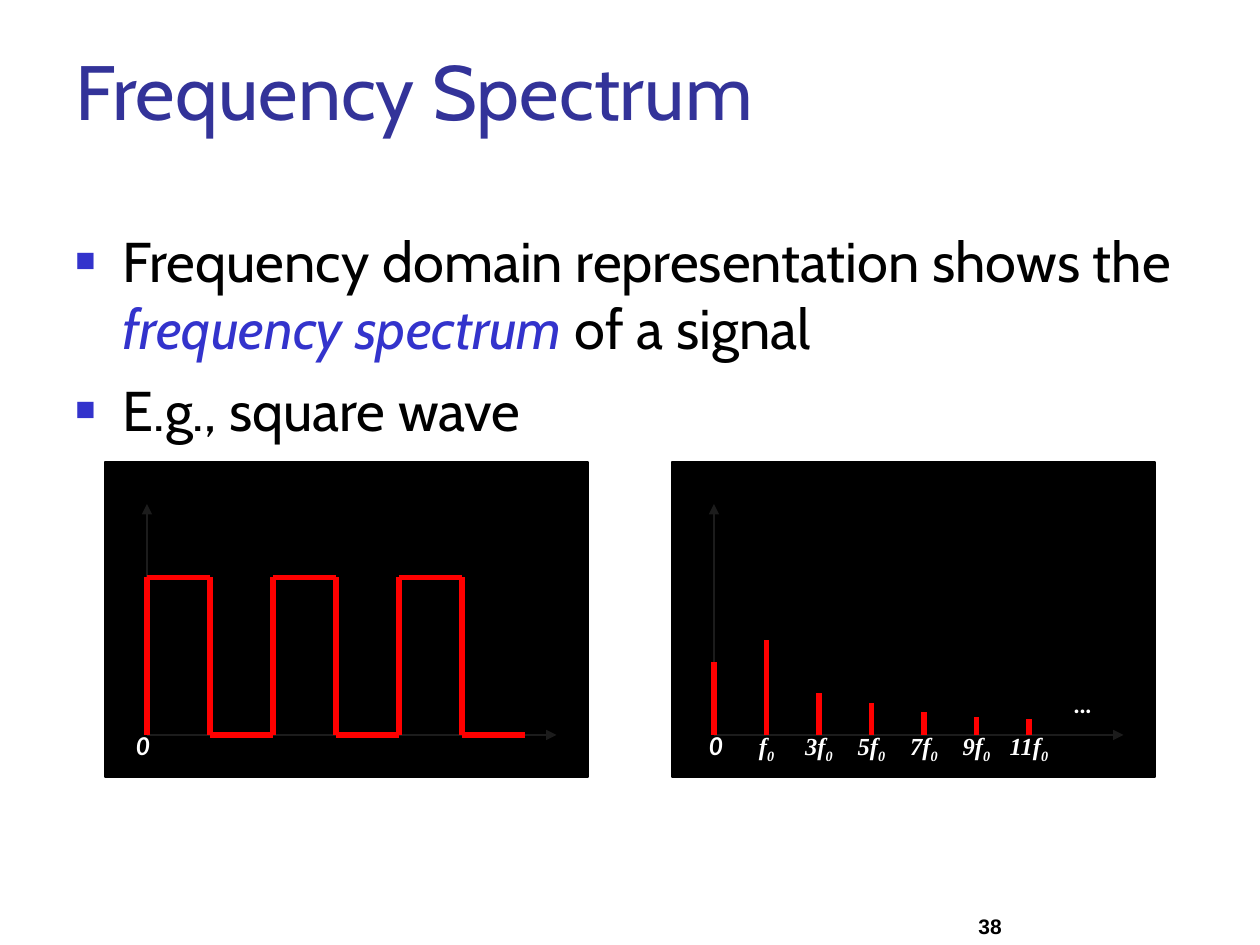
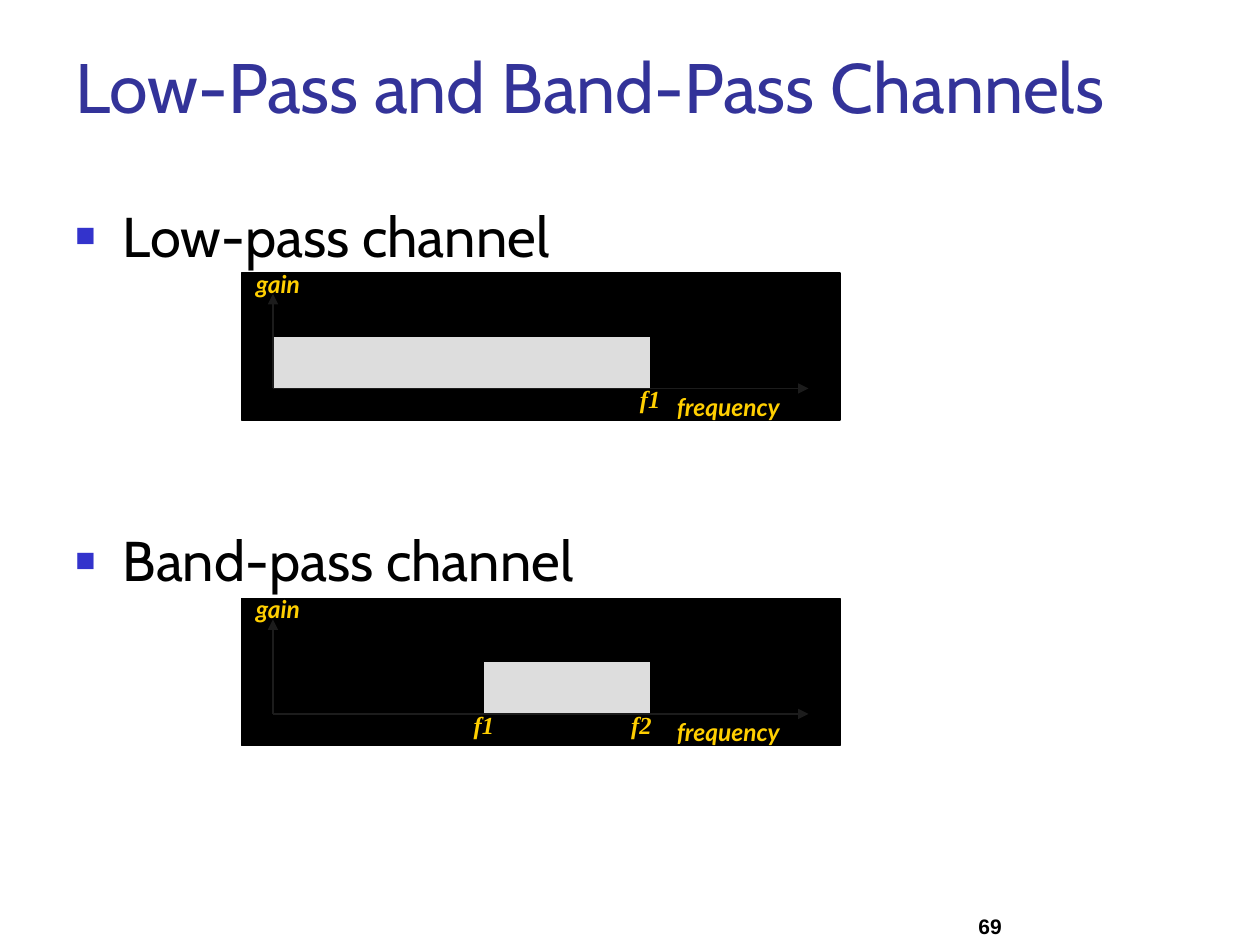
import lxml.etree
import pptx
import pptx.dml.color
import pptx.enum.shapes
import pptx.enum.text
import pptx.oxml.ns
import pptx.util

Pt = pptx.util.Pt
qn = pptx.oxml.ns.qn
ALIGN = pptx.enum.text.PP_ALIGN
ANCHOR = pptx.enum.text.MSO_ANCHOR


class Theme:
    # Colours
    title, accent, ink = "333399", "3333CC", "000000"
    panel, axis, wave = "000000", "1C1C1C", "FF0000"
    band, light, gold = "DDDDDD", "FFFFFF", "FFCF01"
    # Fonts
    main, label, math, page = "Cabin", "Lato", "Times New Roman", "Arial"
    # Type sizes and line widths
    head, body, small, foot = 44, 32, 14, 12
    thin, thick = 0.75, 3


def rgb(code):
    return pptx.dml.color.RGBColor.from_string(code)


def add_mark(para, indent=27):
    """Give a paragraph a hanging square bullet."""
    props = para._p.get_or_add_pPr()
    props.set("marL", str(Pt(indent)))
    props.set("indent", str(-Pt(indent)))
    tint = lxml.etree.SubElement(props, qn("a:buClr"))
    lxml.etree.SubElement(tint, qn("a:srgbClr"), val=Theme.accent)
    lxml.etree.SubElement(props, qn("a:buSzPct"), val="60000")
    lxml.etree.SubElement(props, qn("a:buFont"), typeface="Arial")
    lxml.etree.SubElement(props, qn("a:buChar"), char="■")


def add_text(shapes, box, paras, size, font, color, bold=False, slant=False,
             align=ALIGN.LEFT, anchor=ANCHOR.TOP, wrap=True, marks=False, gap=0):
    """Each paragraph is a list of (text, changes) runs."""
    frame = shapes.add_textbox(*map(Pt, box)).text_frame
    frame.word_wrap = wrap
    frame.vertical_anchor = anchor
    for spot, runs in enumerate(paras):
        para = frame.add_paragraph() if spot else frame.paragraphs[0]
        para.alignment = align
        if marks:
            add_mark(para)
        if spot:
            para.space_before = Pt(gap)
        for words, change in runs:
            run = para.add_run()
            run.text = words
            run.font.size, run.font.name = Pt(size), font
            run.font.bold = bold
            run.font.italic = change.get("slant", slant)
            run.font.color.rgb = rgb(change.get("color", color))
            if "base" in change:
                run.font._element.set("baseline", str(change["base"]))


def add_label(shapes, mid, top, width, words, color, font=Theme.label, sub=""):
    """Small bold italic label centred on mid."""
    runs = [(words, {})]
    if sub:
        runs.append((sub, {"base": -25000}))
    add_text(shapes, (mid - width / 2, top, width, 24.5), [runs], Theme.small,
             font, color, bold=True, slant=True, align=ALIGN.CENTER, wrap=False)


def add_rect(shapes, box, fill):
    rect = shapes.add_shape(pptx.enum.shapes.MSO_SHAPE.RECTANGLE, *map(Pt, box))
    rect.shadow.inherit = False
    rect.fill.solid()
    rect.fill.fore_color.rgb = rgb(fill)
    rect.line.color.rgb = rgb(Theme.panel)
    rect.line.width = Pt(Theme.thin)


def add_line(shapes, start, end, color, width, arrow=False):
    kind = pptx.enum.shapes.MSO_CONNECTOR.STRAIGHT
    line = shapes.add_connector(kind, *map(Pt, start + end))
    line.line.color.rgb = rgb(color)
    line.line.width = Pt(width)
    props = line._element.spPr
    if arrow:
        lxml.etree.SubElement(props.find(qn("a:ln")), qn("a:tailEnd"), type="triangle")
    lxml.etree.SubElement(props, qn("a:effectLst"))


def add_axes(shapes, zero, top, right):
    """Upward and rightward arrows from the zero point."""
    for end in ((zero[0], top), (right, zero[1])):
        add_line(shapes, zero, end, Theme.axis, Theme.thin, arrow=True)


def add_graph(slide, box):
    """Black panel with axes; returns its shapes and zero point."""
    shapes = slide.shapes.add_group_shape().shapes
    left, top, width, height = box
    zero = (left + 24, top + height - 24)
    add_rect(shapes, box, Theme.panel)
    add_axes(shapes, zero, top + 24, left + width - 18)
    return shapes, zero


def add_wave(slide, box, cycles=3, step=36, rise=90):
    shapes, (left, base) = add_graph(slide, box)
    high = base - rise
    # Each half cycle is a vertical edge and a level run
    for half in range(2 * cycles):
        x = left + half * step
        level = base if half % 2 else high
        for start, end in (((x, base), (x, high)), ((x, level), (x + step, level))):
            add_line(shapes, start, end, Theme.wave, Theme.thick)
    add_label(shapes, left - 2.3, base - 6, 22.5, "0", Theme.light)


def add_bars(slide, box, step=30):
    shapes, (left, base) = add_graph(slide, box)
    bars = (("", 42), ("f", 54), ("3f", 24), ("5f", 18), ("7f", 13.2), ("9f", 10.2), ("11f", 9))
    for spot, (name, rise) in enumerate(bars):
        x = left + spot * step
        add_line(shapes, (x, base), (x, base - rise), Theme.wave, Theme.thick)
        if name:
            add_label(shapes, x, base - 6, 16 + 7 * len(name), name, Theme.light,
                      Theme.math, sub="0")
    add_label(shapes, left + 1.2, base - 6, 22.5, "0", Theme.light)
    add_label(shapes, left + 7 * step + 1, base - 30, 26, "...", Theme.light)


def add_gain(slide, box, start, end, marks):
    """Gain panel: the pass band runs from start to end along the axis."""
    shapes = slide.shapes.add_group_shape().shapes
    left, top, width, height = box
    x, base = left + 18, top + height - 18
    add_rect(shapes, box, Theme.panel)
    add_rect(shapes, (x + start, base - 30, end - start, 30), Theme.band)
    add_axes(shapes, (x, base), top + 12, left + width - 18)
    add_label(shapes, x + 260.2, base - 1.7, 80.6, "frequency", Theme.gold)
    for name, spot in marks:
        add_label(shapes, x + spot, base - 6, 26, name, Theme.gold, Theme.math)
    add_label(shapes, x + 2.8, top - 6, 44, "gain", Theme.gold)


def add_frame(deck, title, number, size=Theme.head):
    """Blank slide with its title and page number."""
    slide = deck.slides.add_slide(deck.slide_layouts[6])
    add_text(slide.shapes, (552, 502.5, 168, 37.5), [[(number, {})]], Theme.foot,
             Theme.page, Theme.ink, bold=True, anchor=ANCHOR.BOTTOM)
    add_text(slide.shapes, (36, 21.6, 648, 90), [[(title, {})]], size,
             Theme.main, Theme.title)
    return slide


def add_list(slide, top, paras, gap=8):
    add_text(slide.shapes, (36, top, 648, 482.4 - top), paras, Theme.body,
             Theme.main, Theme.ink, marks=True, gap=gap)


def main():
    deck = pptx.Presentation()
    deck.slide_width, deck.slide_height = Pt(720), Pt(540)

    # Frequency spectrum
    slide = add_frame(deck, "Frequency Spectrum", "38")
    add_list(slide, 126, [
        [("Frequency domain representation shows the ", {}),
         ("frequency spectrum", {"color": Theme.accent, "slant": True}),
         (" of a signal", {})],
        [("E.g., square wave", {})],
    ])
    add_wave(slide, (60, 264, 276, 180))
    add_bars(slide, (384, 264, 276, 180))

    # Low-pass and band-pass channels
    slide = add_frame(deck, "Low-Pass and Band-Pass Channels", "69", size=40)
    add_list(slide, 111.6, [[("Low-pass channel", {})], [("Band-pass channel", {})]], gap=147)
    add_gain(slide, (138, 156, 342, 84), 0, 216, [("f1", 215.5)])
    add_gain(slide, (138, 342, 342, 84), 120, 216, [("f1", 120.5), ("f2", 210.5)])

    deck.save("out.pptx")


if __name__ == "__main__":
    main()
